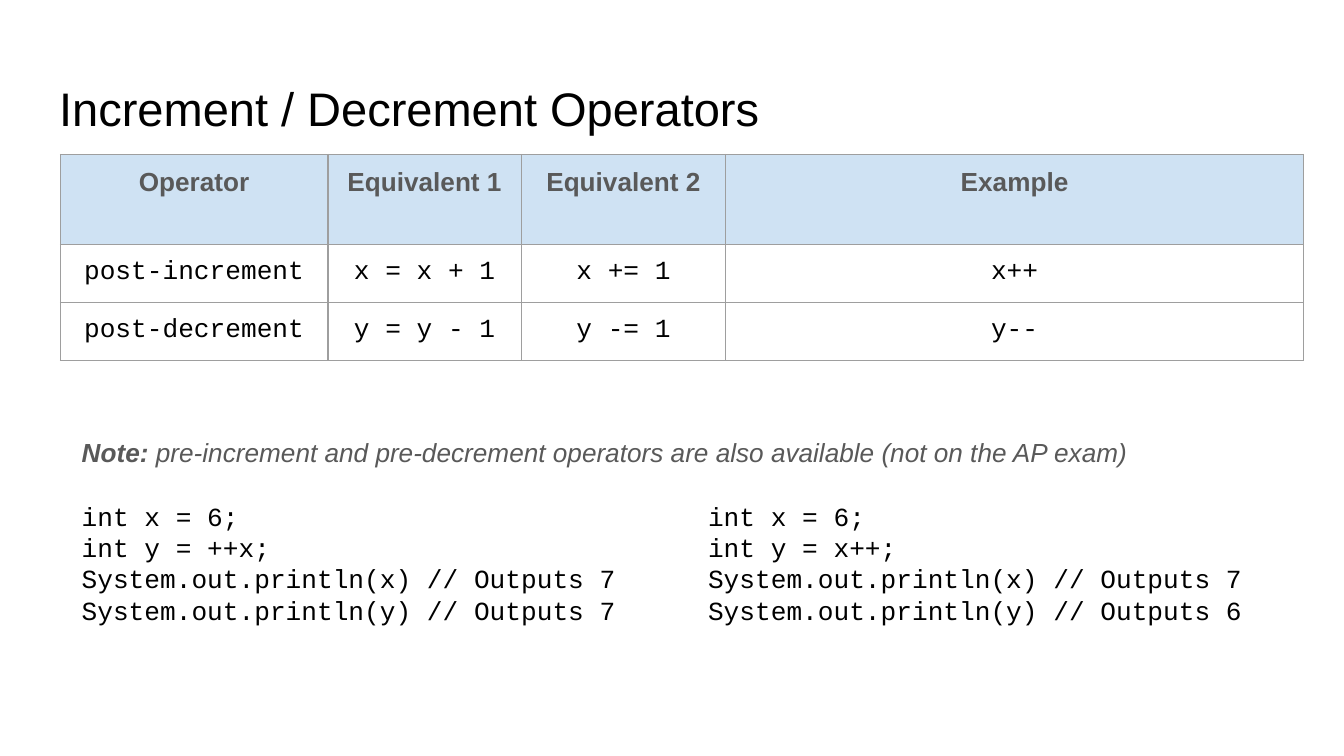
import pptx
import pptx.util
import pptx.dml.color
import pptx.enum.text
import pptx.oxml
import pptx.oxml.ns

Inches, Pt = pptx.util.Inches, pptx.util.Pt
ALIGN, ANCHOR = pptx.enum.text.PP_ALIGN, pptx.enum.text.MSO_ANCHOR

COLORS = {"ink": "000000", "muted": "595959", "header": "CFE2F3", "border": "9E9E9E"}
SANS, MONO = "Arial", "Courier New"

TITLE = "Increment / Decrement Operators"
OPERATORS = [
    ("Operator", "Equivalent 1", "Equivalent 2", "Example"),
    ("post-increment", "x = x + 1", "x += 1", "x++"),
    ("post-decrement", "y = y - 1", "y -= 1", "y--"),
]
COLUMN_WIDTHS = (1.99, 1.44, 1.52, 4.3)
ROW_HEIGHTS = (0.67, 0.43, 0.43)
NOTE = [
    ("Note: ", True),
    ("pre-increment and pre-decrement operators are also available (not on the AP exam)", False),
]
CODE_SAMPLES = [
    ["int x = 6;", "int y = ++x;",
     "System.out.println(x) // Outputs 7", "System.out.println(y) // Outputs 7"],
    ["int x = 6;", "int y = x++;",
     "System.out.println(x) // Outputs 7", "System.out.println(y) // Outputs 6"],
]
CODE_LEFT, CODE_STEP = 0.51, 4.66


def color(name):
    return pptx.dml.color.RGBColor.from_string(COLORS[name])


def add_text(para, text, size=14, font=SANS, fill="ink", bold=False, italic=False,
             align=ALIGN.LEFT):
    para.alignment = align
    span = para.add_run()
    span.text = text
    span.font.size = Pt(size)
    span.font.name = font
    span.font.bold = bold
    span.font.italic = italic
    span.font.color.rgb = color(fill)


def set_frame(frame, anchor=ANCHOR.TOP):
    frame.word_wrap = True
    frame.auto_size = pptx.enum.text.MSO_AUTO_SIZE.NONE
    frame.vertical_anchor = anchor
    frame.margin_left = frame.margin_right = Inches(0.1)
    frame.margin_top = frame.margin_bottom = Inches(0.1)
    return frame


def add_frame(page, *place):
    box = page.shapes.add_textbox(*map(Inches, place))
    return set_frame(box.text_frame)


def add_borders(cell):
    """Put the four border lines ahead of the fill, as the schema requires."""
    properties = cell._tc.get_or_add_tcPr()
    for index, side in enumerate(("lnL", "lnR", "lnT", "lnB")):
        properties.insert(index, pptx.oxml.parse_xml(
            f'<a:{side} {pptx.oxml.ns.nsdecls("a")} w="{Pt(0.75)}"><a:solidFill>'
            f'<a:srgbClr val="{COLORS["border"]}"/></a:solidFill></a:{side}>'))


def add_title(page):
    title = page.shapes.title
    title.left, title.top, title.width, title.height = map(Inches, (0.34, 0.49, 9.32, 0.63))
    frame = set_frame(title.text_frame, ANCHOR.MIDDLE)
    add_text(frame.paragraphs[0], TITLE, size=25.2)


def add_operator_table(page):
    table = page.shapes.add_table(
        len(OPERATORS), len(COLUMN_WIDTHS), Inches(0.45), Inches(1.15),
        Inches(sum(COLUMN_WIDTHS)), Inches(sum(ROW_HEIGHTS))).table
    table.horz_banding = False
    for column, width in zip(table.columns, COLUMN_WIDTHS):
        column.width = Inches(width)
    for row, height, texts in zip(table.rows, ROW_HEIGHTS, OPERATORS):
        row.height = Inches(height)
        header = texts is OPERATORS[0]
        style = dict(fill="muted", bold=True) if header else dict(font=MONO)
        for cell, text in zip(row.cells, texts):
            cell.margin_left = cell.margin_right = Inches(0.1)
            cell.margin_top = cell.margin_bottom = Inches(0.1)
            if header:
                cell.fill.solid()
                cell.fill.fore_color.rgb = color("header")
            else:
                cell.fill.background()
            add_borders(cell)
            add_text(cell.text_frame.paragraphs[0], text, align=ALIGN.CENTER, **style)


def add_note(page):
    para = add_frame(page, 0.51, 3.11, 9.07, 1.88).paragraphs[0]
    para.line_spacing = 1.15
    para.space_after = Pt(12)
    for text, bold in NOTE:
        add_text(para, text, fill="muted", bold=bold, italic=True)


def add_code_samples(page):
    for index, lines in enumerate(CODE_SAMPLES):
        frame = add_frame(page, CODE_LEFT + index * CODE_STEP, 3.62, 4.3, 1.14)
        for number, line in enumerate(lines):
            para = frame.add_paragraph() if number else frame.paragraphs[0]
            add_text(para, line, font=MONO)


def main():
    deck = pptx.Presentation()
    deck.slide_width = Inches(10)
    deck.slide_height = deck.slide_width * 9 // 16
    page = deck.slides.add_slide(deck.slide_layouts.get_by_name("Title Only"))
    add_title(page)
    add_operator_table(page)
    add_note(page)
    add_code_samples(page)
    deck.save("out.pptx")


if __name__ == "__main__":
    main()
